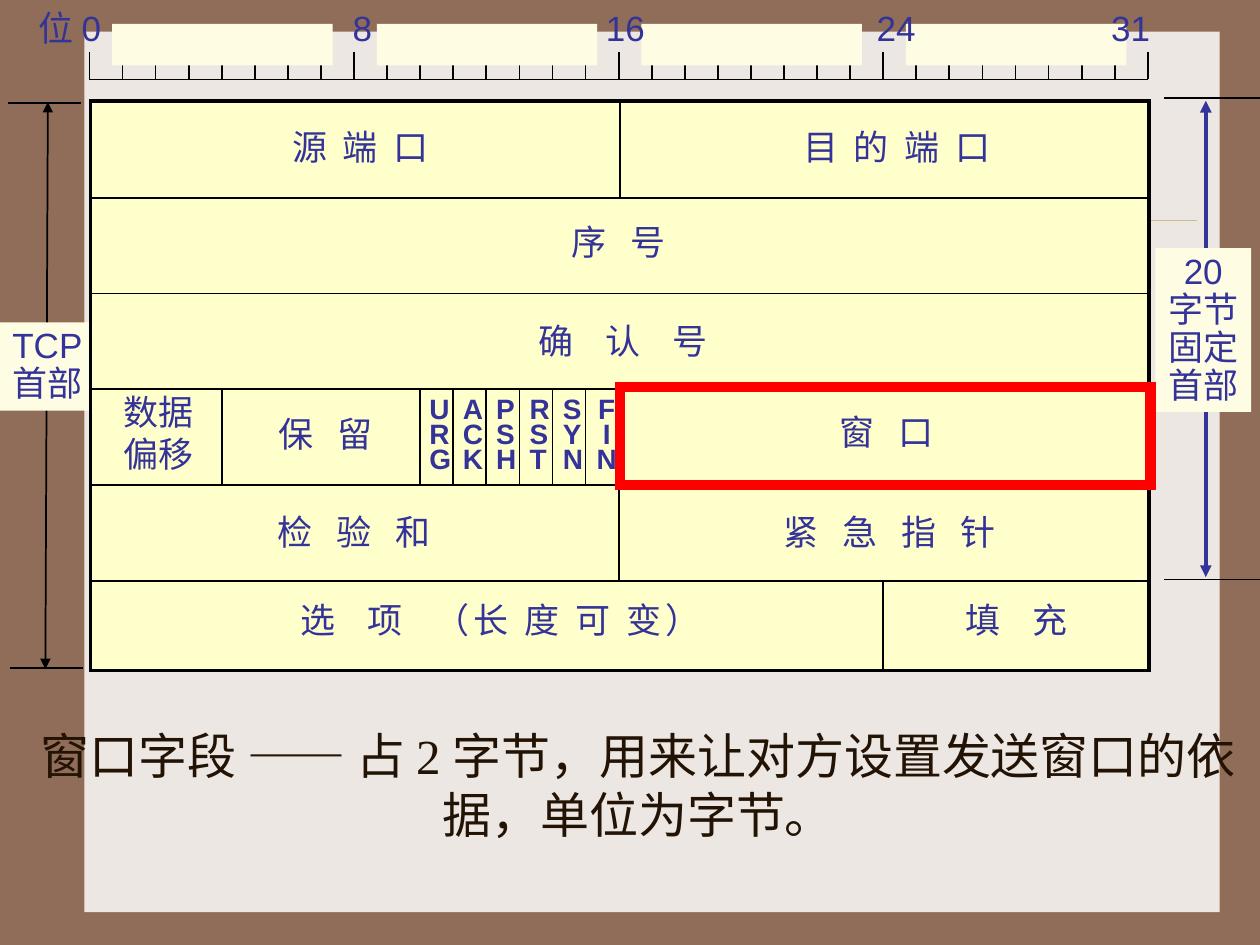
from lxml.etree import SubElement
from pptx import Presentation
from pptx.dml.color import RGBColor
from pptx.enum.shapes import MSO_CONNECTOR as Connector, MSO_SHAPE as Shape
from pptx.enum.text import MSO_ANCHOR as Anchor, MSO_AUTO_SIZE as AutoSize, PP_ALIGN as Align
from pptx.oxml.ns import qn
from pptx.util import Inches, Pt

THEME = {
    "background": "906D58", "panel": "EDE7E3", "rule": "CBBD83",
    "plate": "FEFDE3", "header": "FFFFCC", "ink": "000000",
    "label": "333399", "caption": "221304", "highlight": "FF0000",
    "sans": "Arial", "serif": "Times New Roman",
    "label_size": 20, "flag_size": 16, "caption_size": 28,
}

# Content; rows and bits are positions on the header grid
# Fields: row, bit, width in bits, runs of (text, gap in widths of a space)
FIELDS = [
    (0.18, 5.75, 7, [("源 端 口", 2)]),
    (0.18, 21.2, 9, [("目 的 端 口", 2)]),
    (1.17, 14.2, 8, [("序 号", 3)]),
    (2.21, 13.2, 10, [("确 认 号", 4)]),
    (3.18, 5.33, 4.6, [("保 留", 3)]),
    (3.16, 22.3, 6, [("窗 口", 3)]),
    (4.2, 5.3, 8, [("检 验 和", 3)]),
    (4.2, 20.6, 10, [("紧 急 指 针", 3)]),
    (5.12, 6, 16, [("选 项 ", 4), ("（长 度 可 变）", 2)]),
    (5.12, 26.1, 5.8, [("填 充", 4)]),
]
FLAGS = ["URG", "ACK", "PSH", "RST", "SYN", "FIN"]
# Dividers: bit, first row, last row
DIVIDERS = [(bit, 3, 4) for bit in (4, *range(10, 16))] + [(16, 3, 5), (24, 5, 6)]
RULER = "位 0\t8\t16\t24\t31"
RULER_TABS = [2.49, 4.5, 6.65, 8.51]
CAPTION = "窗口字段 —— 占 2 字节，用来让对方设置发送窗口的依据，单位为字节。"

# Grid, in inches
LEFT, TOP, BOTTOM = 0.71, 0.81, 5.32
BIT, ROW, BITS = 0.2625, 0.76, 32
RULER_BASE = 0.63
SPACE_WIDTH = 0.23  # share of the type size

presentation = Presentation()
presentation.slide_width, presentation.slide_height = Inches(10), Inches(7.5)
slide = presentation.slides.add_slide(presentation.slide_layouts[6])
slide.background.fill.solid()
slide.background.fill.fore_color.rgb = RGBColor.from_string(THEME["background"])


def bit_x(bit):
    return LEFT + bit * BIT


def row_y(row):
    return min(TOP + row * ROW, BOTTOM)


def add_box(left, top, width, height, fill=None, line=None, weight=1):
    shape = slide.shapes.add_shape(
        Shape.RECTANGLE, Inches(left), Inches(top), Inches(width), Inches(height))
    shape.shadow.inherit = False
    if fill:
        shape.fill.solid()
        shape.fill.fore_color.rgb = RGBColor.from_string(THEME[fill])
    else:
        shape.fill.background()
    if line:
        shape.line.color.rgb = RGBColor.from_string(THEME[line])
        shape.line.width = Pt(weight)
        SubElement(shape._element.spPr.find(qn("a:ln")), qn("a:miter"), lim="800000")
    else:
        shape.line.fill.background()
    return shape


def add_line(x1, y1, x2, y2, color="ink", weight=1, arrows=False):
    line = slide.shapes.add_connector(
        Connector.STRAIGHT, Inches(x1), Inches(y1), Inches(x2), Inches(y2))
    line.line.color.rgb = RGBColor.from_string(THEME[color])
    line.line.width = Pt(weight)
    properties = line._element.spPr
    if arrows:
        outline = properties.find(qn("a:ln"))
        for end in ("a:headEnd", "a:tailEnd"):
            SubElement(outline, qn(end), type="triangle")
    SubElement(properties, qn("a:effectLst"))
    return line


def add_text(left, top, width, height):
    return slide.shapes.add_textbox(Inches(left), Inches(top), Inches(width), Inches(height))


def format_font(font, size="label_size", color="label", face="sans", bold=False):
    font.name, font.size, font.bold = THEME[face], Pt(THEME[size]), bold
    font.color.rgb = RGBColor.from_string(THEME[color])


def write(shape, text, align=Align.LEFT, spacing=None, wrap=False, **style):
    frame = shape.text_frame
    frame.text = text
    frame.word_wrap = wrap
    frame.auto_size = AutoSize.NONE if wrap else AutoSize.SHAPE_TO_FIT_TEXT
    frame.vertical_anchor = Anchor.TOP
    for paragraph in frame.paragraphs:
        paragraph.alignment = align
        if spacing:
            paragraph.line_spacing = spacing
        for run in paragraph.runs:
            format_font(run.font, **style)
    return frame


# Panel and rule behind everything
add_box(0.67, 0.25, 9.01, 6.99, "panel")
add_line(1.11, 1.75, 9.5, 1.75, "rule", 0.25)

# Height markers on both sides
add_line(0.38, 0.81, 0.36, 5.31, arrows=True)
write(add_box(0, 2.56, 0.76, 0.7, "plate"), "TCP\n首部", spacing=0.9)
add_line(9.57, 0.8, 9.57, 4.58, "label", 2.25, arrows=True)
write(add_box(9.17, 1.97, 0.76, 1.3, "plate"), "20\n字节\n固定\n首部", Align.CENTER, 0.9)
for x1, x2, y in [(9.24, 10.15, 0.78), (9.24, 10.15, 4.6), (0.06, 0.64, 0.82), (0.08, 0.66, 5.3)]:
    add_line(x1, y, x2, y)

# Header frame, rows and dividers
frame_box = add_box(0.72, 0.8, 8.4, 4.52, "header", "ink", 2)
for row in range(1, 6):
    add_line(LEFT, row_y(row), 9.13, row_y(row))
port_divider = add_line(4.92, row_y(0), 4.92, row_y(1))
port_divider.begin_connect(frame_box, 0)
for bit, first, last in DIVIDERS:
    add_line(bit_x(bit), row_y(first), bit_x(bit), row_y(last))

# Field names, letters spread by character spacing
for row, bit, width, parts in FIELDS:
    text_frame = write(add_text(bit_x(bit), TOP + row * ROW, width * BIT, 0.43), "", wrap=True)
    for text, gap in parts:
        run = text_frame.paragraphs[0].add_run()
        run.text = text
        format_font(run.font)
        tracking = (gap - 1) * SPACE_WIDTH * THEME["label_size"] / 2
        run.font._element.set("spc", str(round(tracking * 100)))
write(add_text(0.88, 3.05, 0.76, 0.76), "数据\n偏移")

# Flags, one letter per line
for index, flag in enumerate(FLAGS):
    align = Align.CENTER if flag == "FIN" else Align.LEFT
    write(add_text(3.31 + index * 0.265, 3.12, 0.36, 0.7), "\n".join(flag),
          align, 0.75, size="flag_size", bold=True)

# Bit ruler
add_line(LEFT, RULER_BASE, bit_x(BITS), RULER_BASE)
for bit in range(BITS + 1):
    add_line(bit_x(bit), 0.3 if bit % 8 else 0.41, bit_x(bit), RULER_BASE)
for start in range(0, BITS, 8):
    add_box(bit_x(start) + 0.18, 0.19, 1.75, 0.33, "plate")
ruler_frame = write(add_text(0.21, 0, 9.04, 0.43), RULER, wrap=True)
tab_list = SubElement(ruler_frame.paragraphs[0]._p.get_or_add_pPr(), qn("a:tabLst"))
for position in RULER_TABS:
    SubElement(tab_list, qn("a:tab"), pos=str(Inches(position)), algn="l")

# Highlighted window field and its caption
add_box(4.92, 3.07, 4.21, 0.78, line="highlight", weight=6)
caption_frame = write(add_text(0.2, 5.51, 9.73, 1.23), CAPTION, Align.CENTER, wrap=True,
                      size="caption_size", color="caption", face="serif")
caption_frame.vertical_anchor = Anchor.BOTTOM

presentation.save("out.pptx")
